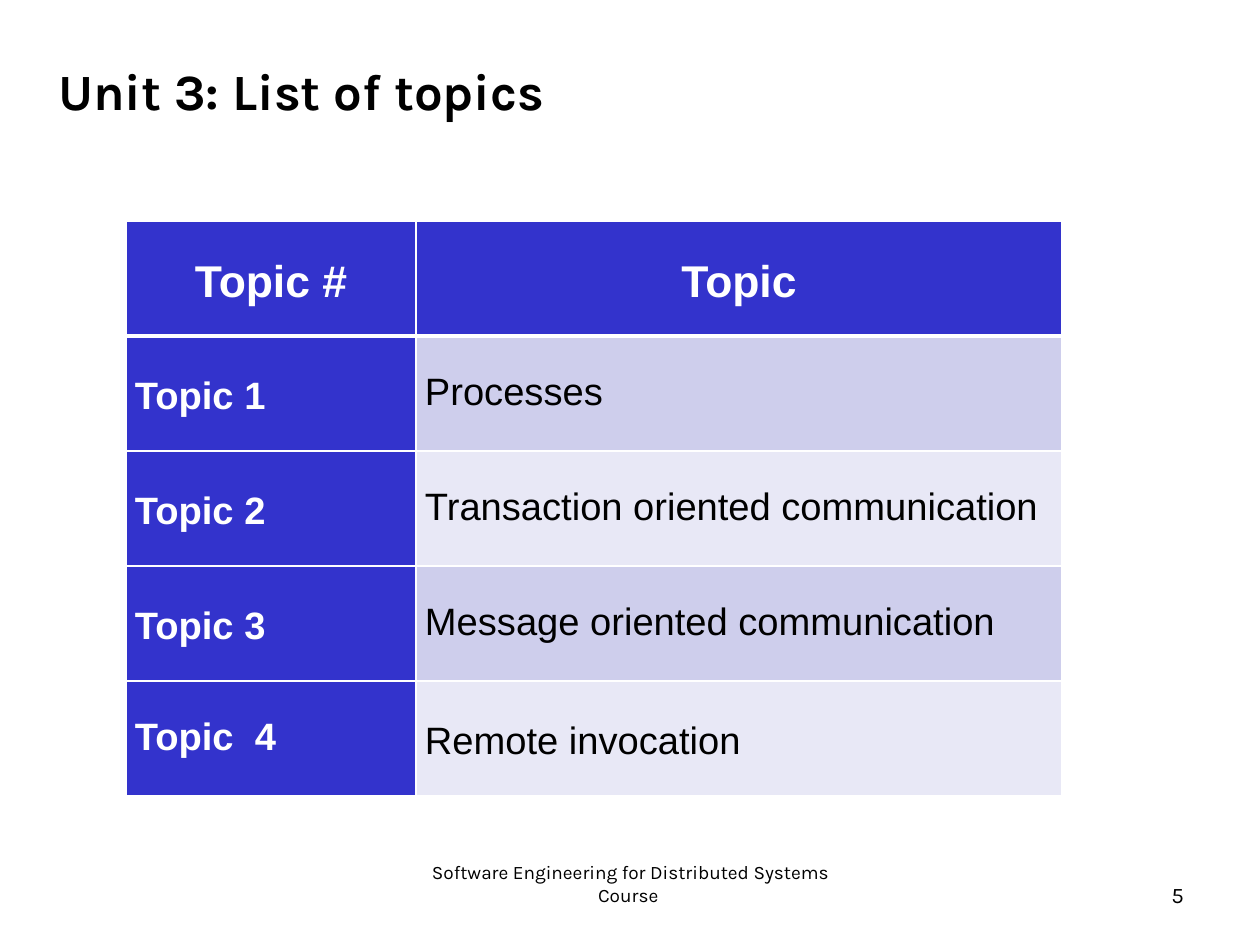
from dataclasses import dataclass

from lxml import etree
from pptx import Presentation
from pptx import util as u
from pptx.dml.color import RGBColor
from pptx.enum import text
from pptx.oxml import ns

PX = 8000
ALIGN = text.PP_ALIGN
MIDDLE = text.MSO_ANCHOR.MIDDLE


@dataclass(frozen=True)
class Theme:
    """Colours, fonts and type sizes of the slide."""
    ink: str = "000000"
    paper: str = "FFFFFF"
    accent: str = "3333CC"
    bands: tuple = ("CECEEC", "E8E8F6")
    display: str = "Karla"
    table: str = "Arial"
    title_pt: int = 32
    header_pt: int = 28
    cell_pt: int = 24
    number_pt: int = 14
    footer_pt: int = 12


THEME = Theme()
TOPICS = (
    ("Topic 1", "Processes", 1.15, 0.93),
    ("Topic 2", "Transaction oriented communication", 1.15, 0.93),
    ("Topic 3", "Message oriented communication", 1.15, 0.93),
    ("Topic  4", "Remote invocation", 0.93, 1.15),
)


def px(*lengths):
    """Turn whole pixels into EMU."""
    return [u.Emu(length * PX) for length in lengths]


def write(tf, words, font, size, color=THEME.ink, bold=False, align=ALIGN.LEFT, spacing=1.01):
    """Put one formatted paragraph into a text frame."""
    p = tf.paragraphs[0]
    p.text = words
    p.alignment = align
    p.line_spacing = spacing
    p.space_before = u.Pt(0)
    p.font.name = font
    p.font.size = u.Pt(size)
    p.font.bold = bold
    p.font.color.rgb = RGBColor.from_string(color)


def set_insets(frame, x, y):
    """Set the inner margins of a text frame or table cell."""
    frame.margin_left, frame.margin_right, frame.margin_top, frame.margin_bottom = px(x, x, y, y)


def add_title(s, words, box):
    """Fill and place the title placeholder."""
    sp = s.shapes.title
    sp.left, sp.top, sp.width, sp.height = px(*box)
    tf = sp.text_frame
    set_insets(tf, 0, 0)
    tf.vertical_anchor = MIDDLE
    tf.auto_size = text.MSO_AUTO_SIZE.NONE
    write(tf, words, THEME.display, THEME.title_pt, bold=True)


def add_label(s, words, box, insets, size, align):
    """Add a wrapped text box at the foot of the slide."""
    tf = s.shapes.add_textbox(*px(*box)).text_frame
    tf.word_wrap = True
    set_insets(tf, *insets)
    write(tf, words, THEME.display, size, align=align)


def set_borders(cell, top, bottom):
    """Draw the white rules around a cell, widths in points."""
    tc_pr = cell._tc.get_or_add_tcPr()
    for side, width in (("L", 1), ("R", 1), ("T", top), ("B", bottom)):
        ln = etree.SubElement(tc_pr, ns.qn(f"a:ln{side}"), w=str(u.Pt(width)))
        fill = etree.SubElement(ln, ns.qn("a:solidFill"))
        etree.SubElement(fill, ns.qn("a:srgbClr"), val=THEME.paper)


def fill_cell(cell, words, fill, rules=(1, 1), size=THEME.cell_pt, **style):
    """Write, colour and rule one table cell."""
    set_insets(cell, 9, 0)
    cell.vertical_anchor = MIDDLE
    set_borders(cell, *rules)
    cell.fill.solid()
    cell.fill.fore_color.rgb = RGBColor.from_string(fill)
    write(cell.text_frame, words, THEME.table, size, **style)


def add_topic_table(s, left, top, widths, row_height):
    """Add the table of numbered topics."""
    rows = len(TOPICS) + 1
    box = px(left, top, sum(widths), rows * row_height)
    table = s.shapes.add_table(rows, len(widths), *box).table
    for column, width in zip(table.columns, px(*widths)):
        column.width = width
    for column, words in enumerate(("Topic #", "Topic")):
        fill_cell(table.cell(0, column), words, THEME.accent, (1, 3), THEME.header_pt,
                  color=THEME.paper, bold=True, align=ALIGN.CENTER, spacing=1.15)
    for n, (number, topic, number_spacing, topic_spacing) in enumerate(TOPICS, 1):
        rules = (3 if n == 1 else 1, 1)
        fill_cell(table.cell(n, 0), number, THEME.accent, rules,
                  color=THEME.paper, bold=True, spacing=number_spacing)
        fill_cell(table.cell(n, 1), topic, THEME.bands[(n - 1) % 2], rules,
                  spacing=topic_spacing)


def main():
    """Build the topic list slide and save it."""
    prs = Presentation()
    prs.slide_width, prs.slide_height = px(1260, 945)
    s = prs.slides.add_slide(prs.slide_layouts.get_by_name("Title Only"))
    add_title(s, "Unit 3: List of topics", (58, 38, 1138, 104))
    add_label(s, "5", (903, 874, 294, 51), (13, 7), THEME.number_pt, ALIGN.RIGHT)
    add_topic_table(s, 126, 221, (290, 646), 115)
    add_label(s, "Software Engineering for Distributed Systems Course ",
              (431, 860, 399, 65), (0, 0), THEME.footer_pt, ALIGN.CENTER)
    prs.save("out.pptx")


if __name__ == "__main__":
    main()
